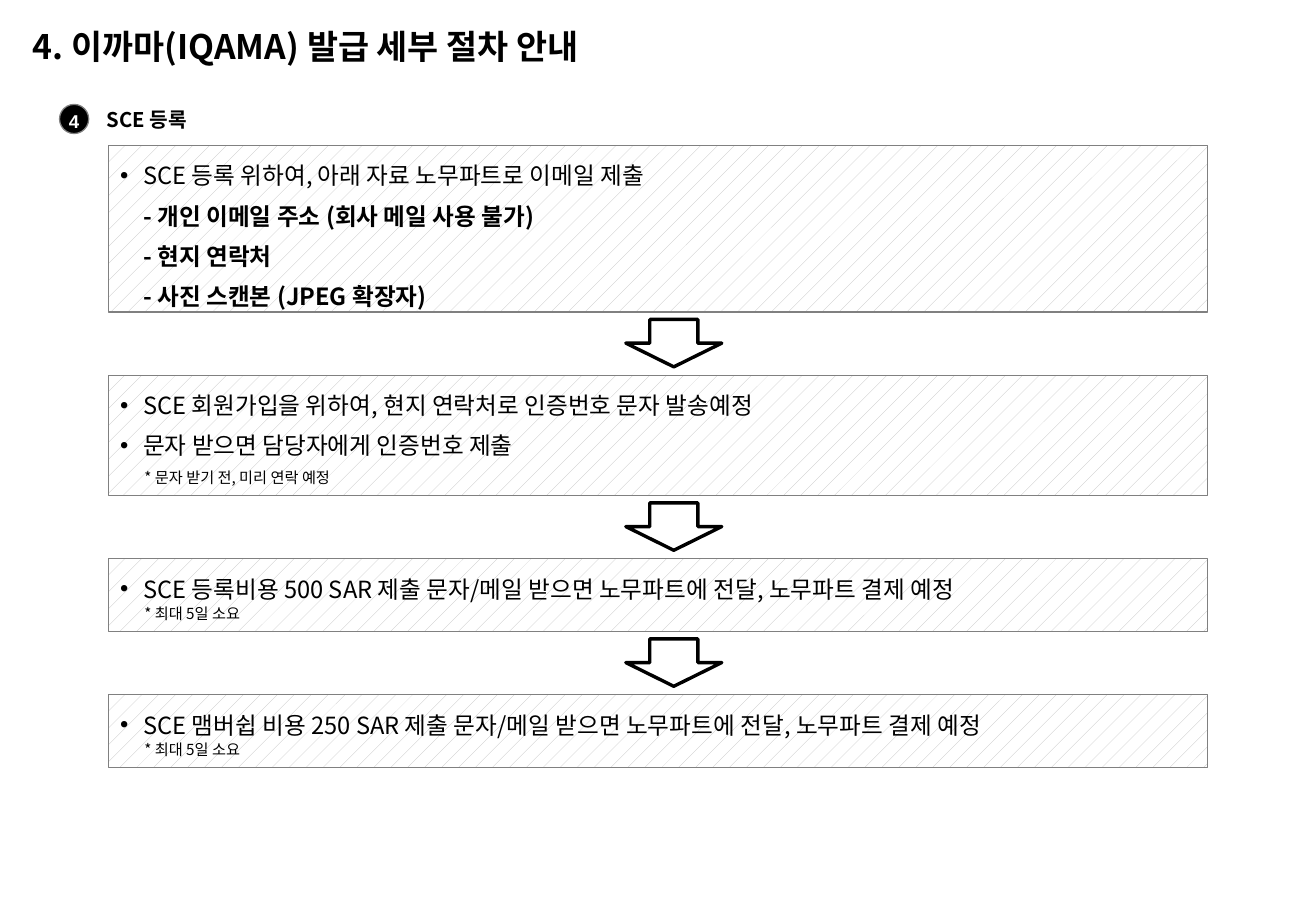
from lxml.etree import SubElement
from pptx import Presentation
from pptx.dml.color import RGBColor
from pptx.enum.dml import MSO_PATTERN
from pptx.enum.shapes import MSO_SHAPE
from pptx.enum.text import MSO_ANCHOR, PP_ALIGN
from pptx.oxml.ns import qn
from pptx.util import Inches, Pt

CELL = Inches(0.1)
COLUMNS, ROWS = 108.3, 75
KOREAN = "Noto Sans CJK KR"
PANEL_GAP = 5.2

STEPS = [
    (13.7, ["SCE 등록 위하여, 아래 자료 노무파트로 이메일 제출"],
     ["- 개인 이메일 주소 (회사 메일 사용 불가)", "- 현지 연락처", "- 사진 스캔본 (JPEG 확장자)"], None),
    (9.9, ["SCE 회원가입을 위하여, 현지 연락처로 인증번호 문자 발송예정",
           "문자 받으면 담당자에게 인증번호 제출"], [], "* 문자 받기 전, 미리 연락 예정"),
    (6, ["SCE 등록비용 500 SAR 제출 문자/메일 받으면 노무파트에 전달, 노무파트 결제 예정"],
     [], "* 최대 5일 소요"),
    (6, ["SCE 맴버쉽 비용 250 SAR 제출 문자/메일 받으면 노무파트에 전달, 노무파트 결제 예정"],
     [], "* 최대 5일 소요"),
]


def cells(*counts):
    return [round(count * CELL) for count in counts]


def color(hex_code):
    return RGBColor.from_string(hex_code)


def set_font(paragraph, size, bold=False, ink="000000", typeface=KOREAN):
    font = paragraph.font
    font.size = Pt(size)
    font.bold = bold
    font.color.rgb = color(ink)
    font.name = typeface
    defaults = paragraph._p.pPr.find(qn("a:defRPr"))
    SubElement(defaults, qn("a:ea")).set("typeface", typeface)


def set_indent(paragraph, left, bullet=False):
    properties = paragraph._p.get_or_add_pPr()
    properties.set("marL", str(cells(left)[0]))
    if bullet:
        properties.set("indent", str(-cells(left)[0]))
        SubElement(properties, qn("a:buFont")).set("typeface", "Arial")
        SubElement(properties, qn("a:buChar")).set("char", "•")


def add_filled(shapes, preset, box, fill="FFFFFF", line=None, width=0.75):
    shape = shapes.add_shape(preset, *cells(*box))
    shape.shadow.inherit = False
    shape.fill.solid()
    shape.fill.fore_color.rgb = color(fill)
    if line:
        shape.line.color.rgb = color(line)
        shape.line.width = Pt(width)
    else:
        shape.line.fill.background()
    return shape


def add_title(slide, box):
    title = slide.shapes.title
    title.left, title.top, title.width, title.height = cells(*box)
    frame = title.text_frame
    frame.text = "4. 이까마(IQAMA) 발급 세부 절차 안내"
    frame.vertical_anchor = MSO_ANCHOR.MIDDLE
    frame.word_wrap = False
    heading = frame.paragraphs[0]
    heading.alignment = PP_ALIGN.LEFT
    set_font(heading, 20, bold=True)


def add_section(slide, box):
    left, top, width, height = box
    badge = add_filled(slide.shapes, MSO_SHAPE.OVAL, (left, top + 0.3, 2.4, 2.4), "000000", "808080")
    label = add_filled(slide.shapes, MSO_SHAPE.RECTANGLE, (left + 3.5, top, width - 3.5, height))
    for part, wording in ((badge, "4"), (label, "SCE 등록")):
        frame = part.text_frame
        frame.text = wording
        frame.margin_left = frame.margin_right = Inches(0.04)
        frame.margin_top = frame.margin_bottom = Inches(0.04)
        frame.vertical_anchor = MSO_ANCHOR.MIDDLE
    number = badge.text_frame.paragraphs[0]
    number.alignment = PP_ALIGN.CENTER
    number.line_spacing = 1.2
    set_font(number, 11, bold=True, ink="FFFFFF", typeface="Arial")
    name = label.text_frame.paragraphs[0]
    name.alignment = PP_ALIGN.LEFT
    set_font(name, 12, bold=True)


def add_step(slide, box, points, details, note):
    left, top, width, height = box
    group = slide.shapes.add_group_shape()
    panel = add_filled(group.shapes, MSO_SHAPE.RECTANGLE, box, line="808080")
    panel.fill.patterned()
    panel.fill.pattern = MSO_PATTERN.PERCENT_5
    panel.fill.fore_color.rgb = color("BFBFBF")
    panel.fill.back_color.rgb = color("FFFFFF")
    content = group.shapes.add_textbox(*cells(left, top + 0.1, width - 5, height - 0.1))
    frame = content.text_frame
    frame.word_wrap = True
    for index, wording in enumerate(points + details):
        is_point = index < len(points)
        paragraph = frame.add_paragraph() if index else frame.paragraphs[0]
        paragraph.text = wording
        set_indent(paragraph, 1.9, bullet=is_point)
        paragraph.line_spacing = 1.3
        paragraph.space_before = Pt(1 if index else 0)
        paragraph.space_after = Pt(1)
        set_font(paragraph, 14, bold=not is_point)
    if note:
        remark = slide.shapes.add_textbox(*cells(left + 2, top + height - 3.2, 47.1, 2.7))
        remark.text_frame.word_wrap = True
        paragraph = remark.text_frame.paragraphs[0]
        paragraph.text = note
        paragraph.line_spacing = 1.3
        set_font(paragraph, 9)


def add_flow(slide, box):
    left, top, width = box
    for index, (height, points, details, note) in enumerate(STEPS):
        if index:
            arrow = (left + 42.6, top - PANEL_GAP + 0.6, 7.9, 3.9)
            add_filled(slide.shapes, MSO_SHAPE.DOWN_ARROW, arrow, line="000000", width=2)
        add_step(slide, (left, top, width, height), points, details, note)
        top += height + PANEL_GAP


def main():
    deck = Presentation()
    deck.slide_width, deck.slide_height = cells(COLUMNS, ROWS)
    slide = deck.slides.add_slide(deck.slide_layouts[5])
    add_title(slide, (1.7, 1.4, 52.4, 4.7))
    add_section(slide, (4.9, 8.3, 50.5, 3))
    add_flow(slide, (8.9, 12, 90.5))
    deck.save("out.pptx")


if __name__ == "__main__":
    main()
